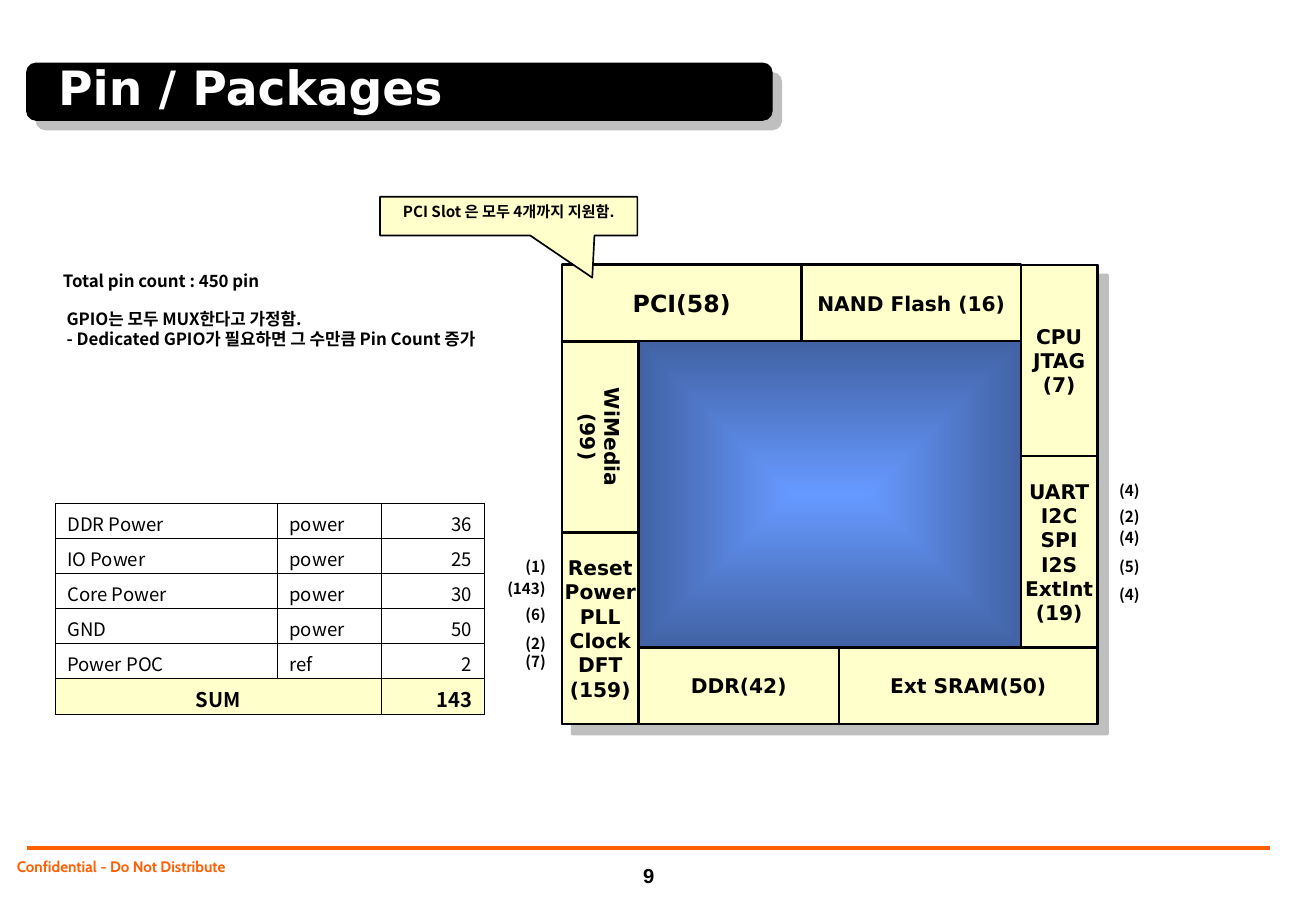
from lxml import etree
from pptx import Presentation
from pptx.dml.color import RGBColor
from pptx.enum.shapes import MSO_CONNECTOR, MSO_SHAPE
from pptx.enum.text import MSO_ANCHOR as ANCHOR, MSO_AUTO_SIZE, PP_ALIGN as ALIGN
from pptx.oxml import parse_xml
from pptx.oxml.ns import nsdecls, qn
from pptx.util import Pt

COLORS = {
    "black": "000000", "white": "FFFFFF", "cream": "FFFFCC", "orange": "FF5F00",
    "shadow": "808080", "core": "6699FF", "core_edge": "2F4675",
}
SANS, KOREAN = "DejaVu Sans", "Noto Sans CJK KR"
BAND = 45.36  # depth of the pin ring around the die


def rgb(name):
    return RGBColor.from_string(COLORS[name])


def points(*values):
    return [Pt(value) for value in values]


def write(frame, text, size=12, font=SANS, color="black", bold=True, align=ALIGN.LEFT,
          anchor=ANCHOR.TOP, margins=(7.2, 3.6, 7.2, 3.6), wrap=True, line_spacing=None):
    """Fill a text frame, one paragraph per line of text."""
    frame.word_wrap = wrap
    frame.vertical_anchor = anchor
    (frame.margin_left, frame.margin_top,
     frame.margin_right, frame.margin_bottom) = points(*margins)
    for index, line in enumerate(text.split("\n")):
        paragraph = frame.paragraphs[0] if index == 0 else frame.add_paragraph()
        paragraph.alignment = align
        paragraph.space_before = Pt(0)
        if line_spacing:
            paragraph.line_spacing = line_spacing
        run = paragraph.add_run()
        run.text = line
        run.font.size, run.font.bold, run.font.name = Pt(size), bold, font
        run.font.color.rgb = rgb(color)
        east_asian = etree.SubElement(run._r.get_or_add_rPr(), qn("a:ea"))
        east_asian.set("typeface", font)


def add_box(slide, kind, box, fill, line_width):
    shape = slide.shapes.add_shape(kind, *points(*box))
    shape.shadow.inherit = False
    shape.fill.solid()
    shape.fill.fore_color.rgb = rgb(fill)
    shape.line.color.rgb = rgb("black")
    shape.line.width = Pt(line_width)
    return shape


def add_label(slide, box, text, **text_format):
    label = slide.shapes.add_textbox(*points(*box))
    write(label.text_frame, text, **text_format)


def cast_shadow(shape, distance):
    effects = shape.element.spPr.find(qn("a:effectLst"))
    effects.append(parse_xml(
        f'<a:outerShdw {nsdecls("a")} blurRad="0" dist="{Pt(distance)}" dir="2700000" '
        f'algn="ctr" rotWithShape="0"><a:srgbClr val="{COLORS["shadow"]}">'
        '<a:alpha val="50000"/></a:srgbClr></a:outerShdw>'))


def add_title(slide, box):
    left, top, width, height = box
    bar = add_box(slide, MSO_SHAPE.ROUNDED_RECTANGLE, box, "black", 0.75)
    bar.adjustments[0] = 0.167
    cast_shadow(bar, 8)
    title = slide.shapes.title
    title.left, title.top, title.width, title.height = points(left + 11.5, top - 23, 425.5, 74)
    title.element.getparent().append(title.element)  # bring in front of the bar
    title.text_frame.auto_size = MSO_AUTO_SIZE.NONE
    write(title.text_frame, "Pin / Packages", size=28, color="white",
          anchor=ANCHOR.MIDDLE, margins=(7.2, 4.3, 7.2, 4.3))


def add_die(slide, left, top):
    # Core with a rectangular gradient, 7 by 6 bands
    core = add_box(slide, MSO_SHAPE.RECTANGLE, (left, top, 7 * BAND, 6 * BAND), "core", 1.5)
    cast_shadow(core, 8.5)
    solid = core.element.spPr.find(qn("a:solidFill"))
    core.element.spPr.replace(solid, parse_xml(
        f'<a:gradFill {nsdecls("a")} rotWithShape="1"><a:gsLst>'
        f'<a:gs pos="0"><a:srgbClr val="{COLORS["core"]}"/></a:gs>'
        f'<a:gs pos="100000"><a:srgbClr val="{COLORS["core_edge"]}"/></a:gs></a:gsLst>'
        '<a:path path="rect"><a:fillToRect l="50000" t="50000" r="50000" b="50000"/>'
        '</a:path></a:gradFill>'))

    # Pin groups: column, row, columns, rows in bands
    pin_groups = [
        ("DDR(42)", 1, 5, 2.62, 1),
        ("Ext SRAM(50)", 3.62, 5, 3.38, 1),
        ("PCI(58)", 0, 0, 3.13, 1),
        ("NAND Flash (16)", 3.13, 0, 2.87, 1),
        ("WiMedia\n(99)", 0, 1, 1, 2.5),
        ("Reset\nPower\nPLL\nClock\nDFT\n(159)", 0, 3.5, 1, 2.5),
        ("UART\nI2C\nSPI\nI2S\nExtInt\n(19)", 6, 2.5, 1, 2.5),
        ("CPU\nJTAG\n(7)", 6, 0, 1, 2.5),
    ]
    for text, column, row, columns, rows in pin_groups:
        box = (left + column * BAND, top + row * BAND, columns * BAND, rows * BAND)
        group = add_box(slide, MSO_SHAPE.RECTANGLE, box, "cream", 1.5)
        write(group.text_frame, text, size=14 if text.startswith("PCI") else 12,
              align=ALIGN.CENTER, anchor=ANCHOR.MIDDLE, wrap=False)
        if text.startswith("WiMedia"):
            group.text_frame._txBody.bodyPr.set("vert", "vert")

    # Pin counts beside the die: text, offset from its left and top
    pin_counts = [
        ("(4)", 323.3, 124.6), ("(2)", 323.3, 140.4), ("(4)", 323.3, 152.6),
        ("(5)", 323.3, 169.9), ("(4)", 323.3, 186.5),
        ("(1)", -28.8, 169.9), ("(143)", -39.6, 182.9), ("(6)", -28.8, 198),
        ("(2)", -28.8, 215.3), ("(7)", -28.8, 226.1),
    ]
    for text, x, y in pin_counts:
        add_label(slide, (left + x, top + y, 68.4, 18), text, size=9, font=KOREAN)


def add_callout(slide, box):
    callout = add_box(slide, MSO_SHAPE.RECTANGULAR_CALLOUT, box, "cream", 1)
    callout.adjustments[0], callout.adjustments[1] = 0.325, 1.588
    write(callout.text_frame, "PCI Slot 은 모두 4개까지 지원함.", size=9, font=KOREAN,
          align=ALIGN.CENTER)


def add_notes_text(slide, left, top):
    note_format = dict(size=10, font=KOREAN, anchor=ANCHOR.MIDDLE, wrap=False)
    add_label(slide, (left, top, 133.2, 19.4), "Total pin count : 450 pin", **note_format)
    add_label(slide, (left + 2.2, top + 22.3, 267.8, 31.7),
              "GPIO는 모두 MUX한다고 가정함.\n"
              "- Dedicated GPIO가 필요하면 그 수만큼 Pin Count 증가", **note_format)


def outline_cell(cell):
    properties = cell._tc.get_or_add_tcPr()
    for index, side in enumerate(("lnL", "lnR", "lnT", "lnB")):
        properties.insert(index, parse_xml(
            f'<a:{side} {nsdecls("a")} w="{Pt(0.45)}"><a:solidFill>'
            f'<a:srgbClr val="{COLORS["black"]}"/></a:solidFill></a:{side}>'))


def add_power_table(slide, box):
    rows = [
        ("DDR Power", "power", "36"), ("IO Power", "power", "25"),
        ("Core Power", "power", "30"), ("GND", "power", "50"),
        ("Power POC", "ref", "2"), ("SUM", "", "143"),
    ]
    last = len(rows) - 1
    table = slide.shapes.add_table(len(rows), 3, *points(*box)).table
    table.first_row = table.horz_banding = False
    for column, width in zip(table.columns, (131.8, 61.4, 61.4)):
        column.width = Pt(width)
    for row_index, values in enumerate(rows):
        is_sum = row_index == last
        table.rows[row_index].height = Pt(21.8 if is_sum else 20.7)
        for column_index, value in enumerate(values):
            cell = table.cell(row_index, column_index)
            if is_sum:
                cell.fill.solid()
                cell.fill.fore_color.rgb = rgb("cream")
            else:
                cell.fill.background()
            outline_cell(cell)
            if not value:
                continue
            align = ALIGN.RIGHT if column_index == 2 else ALIGN.CENTER if is_sum else ALIGN.LEFT
            write(cell.text_frame, value, size=12 if is_sum else 11, font=KOREAN,
                  bold=is_sum, align=align)
            cell.vertical_anchor = ANCHOR.MIDDLE
            (cell.margin_left, cell.margin_top,
             cell.margin_right, cell.margin_bottom) = points(7.2, 3.6, 7.2, 0.5)
    table.cell(last, 0).merge(table.cell(last, 1))


def add_footer(slide, left, top, width):
    rule = slide.shapes.add_connector(
        MSO_CONNECTOR.STRAIGHT, *points(left, top, left + width, top))
    rule.line.color.rgb = rgb("orange")
    rule.line.width = Pt(2)
    etree.SubElement(rule.element.spPr, qn("a:effectLst"))
    add_label(slide, (left - 9.4, top + 4.3, 263.5, 19.4), "Confidential - Do Not Distribute",
              size=9, font="Cabin", color="orange", margins=(3.6, 0, 3.6, 0), line_spacing=1.1)
    add_label(slide, (left + 357.8, top + 5, 22.3, 22.3), "9", font="Arial",
              align=ALIGN.CENTER, anchor=ANCHOR.BOTTOM)


def main():
    presentation = Presentation()
    presentation.slide_width, presentation.slide_height = points(780.48, 540)
    slide = presentation.slides.add_slide(presentation.slide_layouts[5])
    add_footer(slide, 15.84, 502.56, 737.3)
    add_title(slide, (15.84, 37.44, 442.1, 33.84))
    add_die(slide, 333.36, 156.96)
    add_power_table(slide, (32.7, 298.4, 254.6, 125.3))
    add_callout(slide, (225.4, 116.6, 152.6, 23))
    add_notes_text(slide, 30.24, 156.96)
    presentation.save("out.pptx")


if __name__ == "__main__":
    main()
